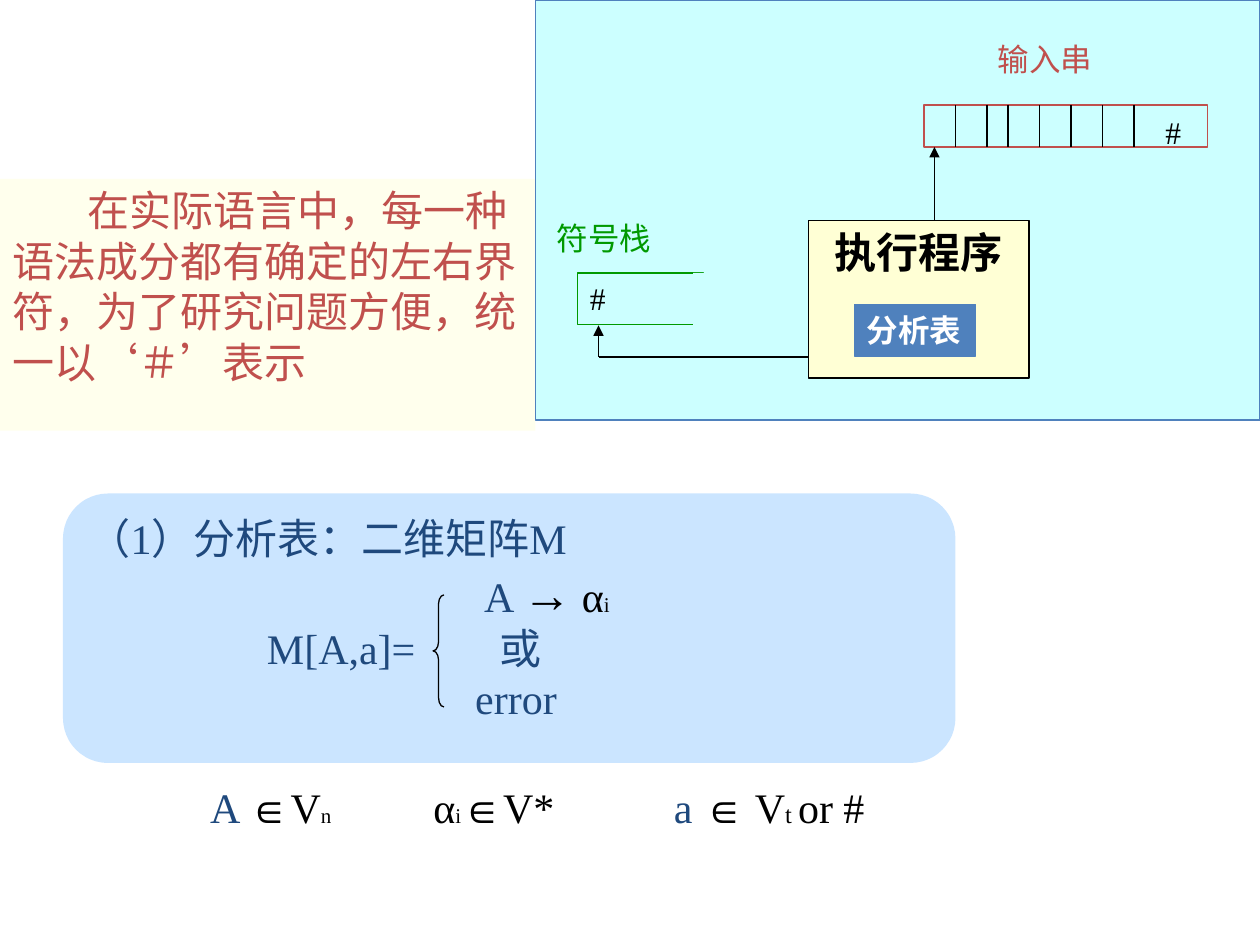
from pptx import Presentation
from pptx.dml.color import RGBColor
from pptx.enum.shapes import MSO_CONNECTOR, MSO_SHAPE as SHAPE
from pptx.enum.text import MSO_ANCHOR, PP_ALIGN
from pptx.oxml.ns import qn
from pptx.util import Pt
from lxml.etree import SubElement

FONT = "Times New Roman"
C = {"black": "000000", "white": "FFFFFF", "red": "C0504D", "green": "009900",
     "navy": "1F497D", "blue": "4F81BD", "aqua": "CCFFFF", "cream": "FFFFDD",
     "yellow": "FFFFD5", "sky": "99CCFF"}

# A paragraph is (tab stops, runs); a run is (text, size, colour).
NOTE = [
    ([43], [("\t在实际语言中，每一种", 24, "red")]),
    ([], [("语法成分都有确定的左右界", 24, "red")]),
    ([], [("符，为了研究问题方便，统", 24, "red")]),
    ([], [("一以‘＃’表示", 24, "red")]),
]
MATRIX = [
    ([], [("（1）分析表：二维矩阵M", 24, "navy")]),
    ([226], [("\tA ", 24, "navy"), ("→", 28, "black"),
             (" α", 24, "black"), ("i", 12, "black")]),
    ([102, 235], [("\tM[A,a]=\t或", 24, "navy")]),
    ([221], [("\terror", 24, "navy")]),
]
# left, top, width, height, wrap, runs
LABELS = [
    (658.8, 61.2, 23.8, 28.8, False, [("#", 18, "black")]),
    (311, 121.7, 68.4, 28.8, False, [("符号栈", 18, "green")]),
    (563, 19.4, 68.4, 28.8, False, [("输入串", 18, "red")]),
    (113, 442.8, 85, 36, False,
     [("A ", 24, "navy"), ("∈V", 24, "black"), ("n", 12, "black")]),
    (378, 442.8, 126, 36, True,
     [("a ", 24, "navy"), ("∈ V", 24, "black"), ("t ", 14, "black"),
      ("or #", 24, "black")]),
    (240.5, 442.8, 95, 36, True,
     [("α", 24, "black"), ("i", 12, "black"), ("∈V*", 24, "black")]),
]
TAPE_TOP, TAPE_BOTTOM = 60, 84
TAPE_DIVIDERS = [546, 564, 576, 594, 612, 630, 648]
# x1, y1, x2, y2, arrowhead
LINKS = [
    (462, 204, 342, 204, False),
    (342, 204, 342, 186, True),
    (534, 126, 534, TAPE_BOTTOM, True),
]


def color(name):
    return RGBColor.from_string(C[name])


def write(shape, paragraphs, wrap=True, bold=False, align=PP_ALIGN.LEFT):
    tf = shape.text_frame
    tf.word_wrap = wrap
    tf.vertical_anchor = MSO_ANCHOR.TOP
    for i, (tabs, runs) in enumerate(paragraphs):
        p = tf.add_paragraph() if i else tf.paragraphs[0]
        p.alignment = align
        if tabs:
            stops = SubElement(p._p.get_or_add_pPr(), qn("a:tabLst"))
            for pos in tabs:
                SubElement(stops, qn("a:tab"), pos=str(Pt(pos)), algn="l")
        for text, size, name in runs:
            r = p.add_run()
            r.text = text
            r.font.name = FONT
            r.font.size = Pt(size)
            r.font.bold = bold
            r.font.color.rgb = color(name)


def add_box(kind, left, top, width, height, fill=None, line=None, alpha=None):
    """Add a preset shape; alpha is the fill's opacity in percent."""
    sp = s.shapes.add_shape(kind, Pt(left), Pt(top), Pt(width), Pt(height))
    sp.shadow.inherit = False
    if fill:
        sp.fill.solid()
        sp.fill.fore_color.rgb = color(fill)
        if alpha:
            rgb = sp._element.spPr.find(qn("a:solidFill"))[0]
            SubElement(rgb, qn("a:alpha"), val=str(alpha * 1000))
    else:
        sp.fill.background()
    if line:
        sp.line.color.rgb = color(line)
        sp.line.width = Pt(0.75)
    else:
        sp.line.fill.background()
    return sp


def add_line(x1, y1, x2, y2, arrow=False):
    cn = s.shapes.add_connector(MSO_CONNECTOR.STRAIGHT, Pt(x1), Pt(y1), Pt(x2), Pt(y2))
    cn.line.color.rgb = color("black")
    cn.line.width = Pt(0.75)
    if arrow:
        SubElement(cn.line._get_or_add_ln(), qn("a:tailEnd"), type="triangle")
    SubElement(cn._element.spPr, qn("a:effectLst"))


prs = Presentation()
prs.slide_width, prs.slide_height = Pt(720), Pt(540)
s = prs.slides.add_slide(prs.slide_layouts[6])

note = add_box(SHAPE.RECTANGLE, 0, 102.2, 306, 144, "cream", alpha=50)
write(note, NOTE)

add_box(SHAPE.RECTANGLE, 306, 0, 414, 240, "aqua", "blue")
stack = add_box(SHAPE.RECTANGLE, 330, 156, 72, 29.5, line="green")
write(stack, [([], [("#", 18, "black")])])
add_box(SHAPE.RECTANGLE, 396, 156, 12, 30, "aqua")  # opens the stack's right side

program = add_box(SHAPE.RECTANGLE, 462, 126, 126, 90, "yellow", "black")
write(program, [([], [("执行程序", 24, "black")])], bold=True, align=PP_ALIGN.CENTER)
table = add_box(SHAPE.RECTANGLE, 488.2, 174, 69.4, 29.5, "blue", "blue")
write(table, [([], [("分析表", 18, "white")])], wrap=False, bold=True)

add_box(SHAPE.RECTANGLE, 528, TAPE_TOP, 162, TAPE_BOTTOM - TAPE_TOP, line="red")
for x in TAPE_DIVIDERS:
    add_line(x, TAPE_TOP, x, TAPE_BOTTOM)
for link in LINKS:
    add_line(*link)

matrix = add_box(SHAPE.ROUNDED_RECTANGLE, 36, 282, 510, 154, "sky", alpha=50)
matrix.adjustments[0] = 0.167
write(matrix, MATRIX)
brace = add_box(SHAPE.LEFT_BRACE, 247.5, 340, 6.2, 64, line="black")
brace.adjustments[0] = 0.83

for left, top, width, height, wrap, runs in LABELS:
    label = s.shapes.add_textbox(Pt(left), Pt(top), Pt(width), Pt(height))
    write(label, [([], runs)], wrap)

prs.save("out.pptx")
